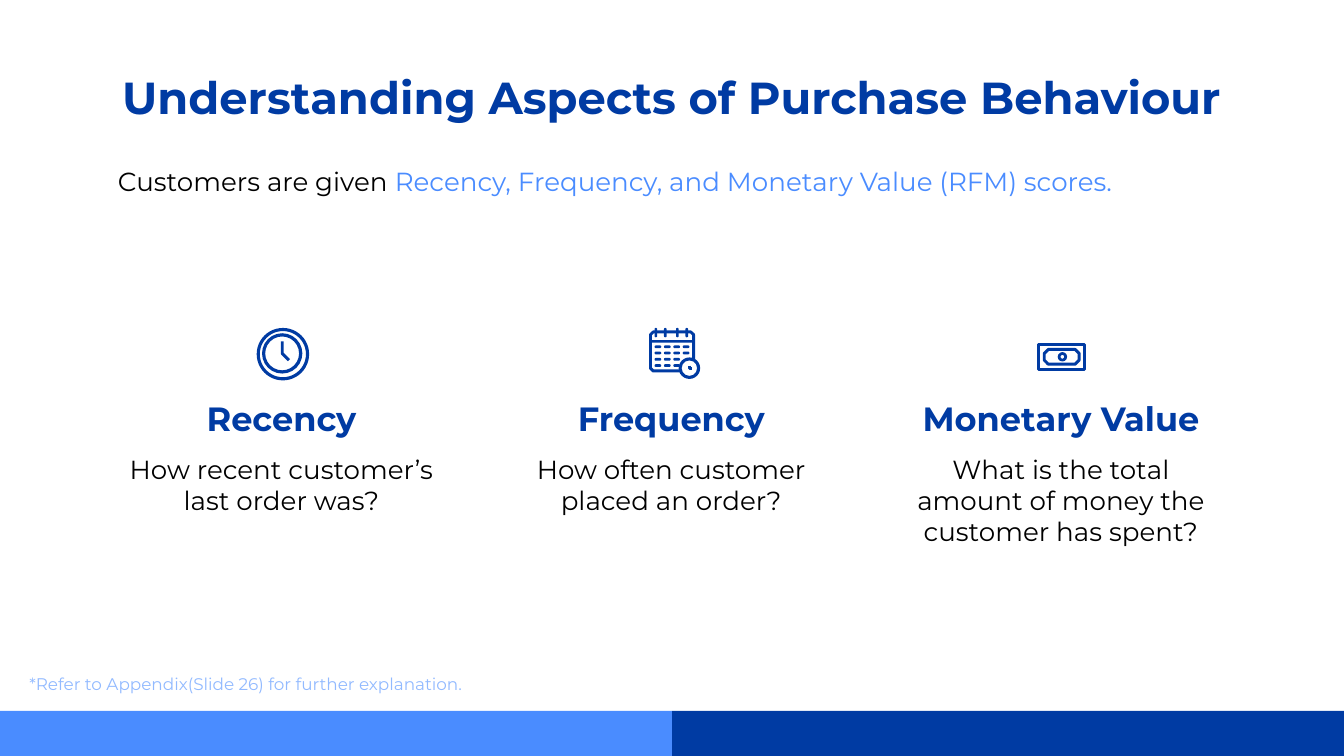
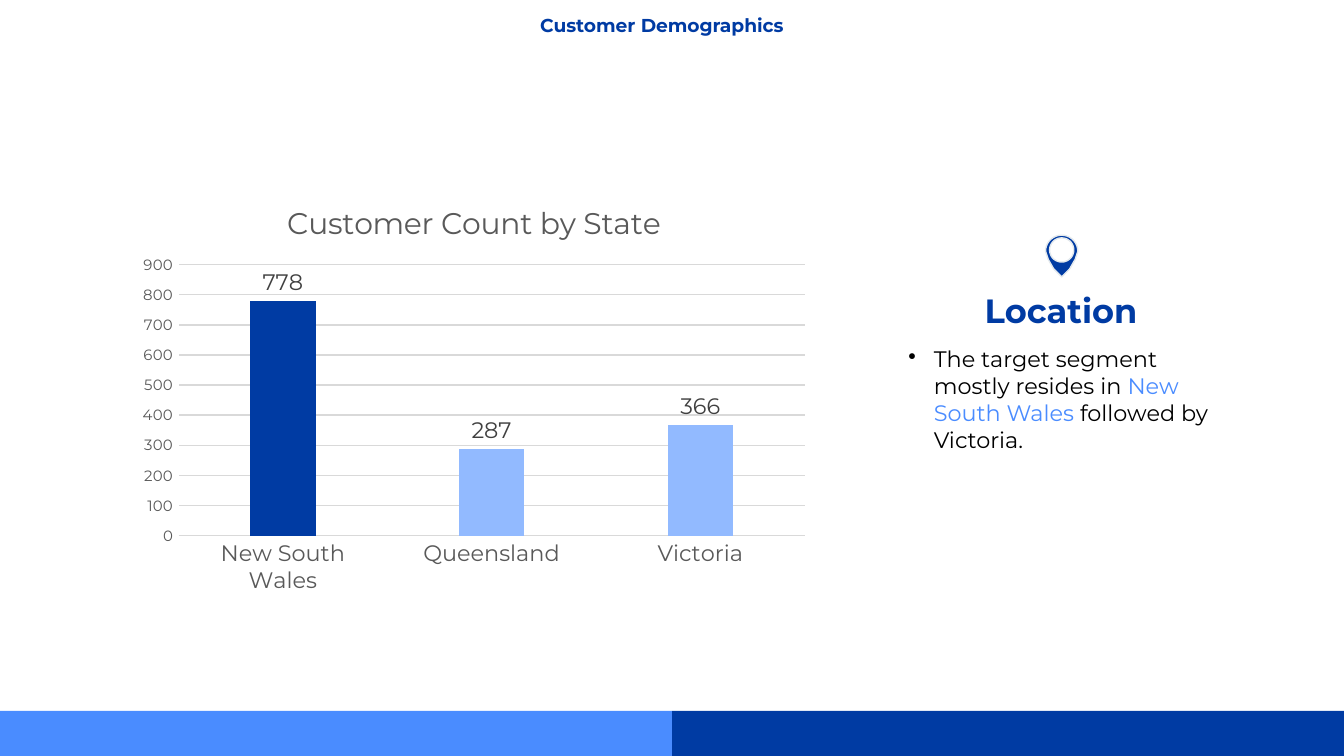
"""Build two slides on purchase behaviour and customer demographics."""
import math

from pptx import Presentation
from pptx.chart.data import CategoryChartData
from pptx.dml.color import RGBColor
from pptx.enum.chart import XL_CHART_TYPE, XL_LABEL_POSITION, XL_TICK_MARK
from pptx.enum.shapes import MSO_SHAPE
from pptx.enum.text import PP_ALIGN
from pptx.oxml import parse_xml
from pptx.oxml.ns import nsdecls, qn
from pptx.util import Inches, Pt

CENTER, LEFT = PP_ALIGN.CENTER, PP_ALIGN.LEFT
RECTANGLE, ROUNDED = MSO_SHAPE.RECTANGLE, MSO_SHAPE.ROUNDED_RECTANGLE
DONUT = MSO_SHAPE.DONUT
COLUMNS = XL_CHART_TYPE.COLUMN_CLUSTERED
OUTSIDE_END = XL_LABEL_POSITION.OUTSIDE_END
NO_TICK = XL_TICK_MARK.NONE
FONT = "Montserrat"
HEX = {
    "navy": "003BA3",
    "blue": "4A8CFF",
    "pale": "92BAFF",
    "black": "000000",
    "axis": "595959",
    "label": "404040",
    "grid": "D9D9D9",
    "pin_edge": "E3E9ED",
}
COLORS = {name: RGBColor.from_string(value) for name, value in HEX.items()}


def add_text(slide, box, runs, size, bold=False, align=CENTER, inset=0.1, after=0, bullet=False):
    """Add a one-paragraph text box from (text, colour) runs."""
    frame = slide.shapes.add_textbox(*map(Inches, box)).text_frame
    frame.word_wrap = True
    frame.margin_top = frame.margin_bottom = Inches(inset)
    paragraph = frame.paragraphs[0]
    if bullet:
        properties = paragraph._p.get_or_add_pPr()
        properties.set("marL", str(Inches(0.19)))
        properties.set("indent", str(-Inches(0.19)))
        properties.append(parse_xml(
            f'<a:buClr {nsdecls("a")}><a:srgbClr val="{HEX["black"]}"/></a:buClr>'))
        properties.append(parse_xml(f'<a:buChar {nsdecls("a")} char="•"/>'))
    paragraph.alignment = align
    paragraph.space_after = Pt(after)
    paragraph.font.name, paragraph.font.size, paragraph.font.bold = FONT, Pt(size), bold
    for text, color in runs:
        run = paragraph.add_run()
        run.text = text
        run.font.color.rgb = COLORS[color]


def add_outline(slide, contours, closed):
    """Add a freeform made of one or more contours given in inches."""
    contours = [[(Inches(x), Inches(y)) for x, y in points] for points in contours]
    builder = slide.shapes.build_freeform(*contours[0][0], scale=1.0)
    builder.add_line_segments(contours[0][1:], close=closed)
    for points in contours[1:]:
        builder.move_to(*points[0])
        builder.add_line_segments(points[1:], close=closed)
    shape = builder.convert_to_shape()
    shape.shadow.inherit = False
    shape.fill.background()
    shape.line.color.rgb = COLORS["navy"]
    shape.line.width = Pt(1.6)
    return shape


presentation = Presentation()
presentation.slide_width, presentation.slide_height = Inches(10), Inches(10 * 9 / 16)
blank_layout = presentation.slide_layouts[6]

titles = [
    ("Understanding Aspects of Purchase Behaviour", 0.78, 0.42, 24),
    ("Customer Demographics", 0.71, 0.02, 10),
]
for title, left, top, size in titles:
    slide = presentation.slides.add_slide(blank_layout)
    for band_left, color in ((5, "navy"), (0, "blue")):
        band = slide.shapes.add_shape(
            RECTANGLE, Inches(band_left), Inches(5.29), Inches(5), Inches(0.34))
        band.shadow.inherit = False
        band.fill.solid()
        band.fill.fore_color.rgb = COLORS[color]
        band.line.fill.background()
    add_text(slide, (left, top, 8.43, 0.63), [(title, "navy")], size, bold=True)

behaviour_slide, demographics_slide = presentation.slides

aspects = [
    ("Recency", "How recent customer’s last order was?"),
    ("Frequency", "How often customer placed an order?"),
    ("Monetary Value", "What is the total amount of money the customer has spent?"),
]
for column, (heading, question) in enumerate(aspects):
    left = 0.86 + 2.9 * column
    add_text(behaviour_slide, (left, 2.86, 2.47, 0.45), [(heading, "navy")], 18, True, after=16)
    add_text(behaviour_slide, (left, 3.27, 2.47, 0.79), [(question, "black")], 14, after=16)

add_text(behaviour_slide, (0.78, 1.18, 8.43, 0.34),
         [("Customers are given ", "black"),
          ("Recency, Frequency, and Monetary Value (RFM) scores.", "blue")],
         14, align=LEFT, inset=0.05)
add_text(behaviour_slide, (0.12, 4.96, 5.95, 0.25),
         [("*Refer to Appendix(Slide 26) for further explanation.", "pale")],
         9, align=LEFT, inset=0.05)

clock_rings = [(DONUT, 1.91, 2.44, 0.39, 0.39, 0.06), (DONUT, 1.95, 2.48, 0.3, 0.3, 0.08)]
calendar_header = [(RECTANGLE, 4.84, 2.53, 0.32, 0.02, None)]
calendar_hooks = [(ROUNDED, left, 2.44, 0.02, 0.07, 0.5) for left in (4.87, 4.94, 5.03, 5.1)]
calendar_days = [(ROUNDED, 4.87 + 0.07 * day, 2.57 + 0.14 * week / 3, 0.05, 0.02, 0.5)
                 for week, days in enumerate((4, 4, 3, 3)) for day in range(days)]
calendar_clock = [(DONUT, 5.05, 2.66, 0.16, 0.16, 0.14)]
banknote_coin = [(DONUT, 7.87, 2.62, 0.07, 0.07, 0.3)]
icon_parts = (clock_rings + calendar_header + calendar_hooks + calendar_days
              + calendar_clock + banknote_coin)
for kind, left, top, width, height, adjustment in icon_parts:
    part = behaviour_slide.shapes.add_shape(kind, *map(Inches, (left, top, width, height)))
    part.shadow.inherit = False
    part.fill.solid()
    part.fill.fore_color.rgb = COLORS["navy"]
    part.line.fill.background()
    if adjustment:
        part.adjustments[0] = adjustment

clock_hands = [(2.1, 2.54), (2.1, 2.63), (2.15, 2.68)]
calendar_frame = [(5.06, 2.76), (4.86, 2.76), (4.84, 2.74), (4.84, 2.49), (4.86, 2.47),
                  (5.14, 2.47), (5.16, 2.49), (5.16, 2.67)]
calendar_hands = [(5.13, 2.72), (5.13, 2.74), (5.15, 2.74)]
banknote_edge = [(7.73, 2.56), (8.07, 2.56), (8.07, 2.75), (7.73, 2.75)]
banknote_inset = [(7.8, 2.6), (8, 2.6), (8.03, 2.63), (8.03, 2.68),
                  (8, 2.71), (7.8, 2.71), (7.77, 2.68), (7.77, 2.63)]
for points in (clock_hands, calendar_frame, calendar_hands):
    add_outline(behaviour_slide, [points], closed=False)
for points in (banknote_edge, banknote_inset):
    add_outline(behaviour_slide, [points], closed=True)

add_text(demographics_slide, (6.66, 2.06, 2.47, 0.45), [("Location", "navy")], 18, True, after=16)
add_text(demographics_slide, (6.66, 2.47, 2.47, 1.31),
         [("The target segment mostly resides in ", "black"),
          ("New South Wales", "blue"),
          (" followed by Victoria.", "black")],
         12, align=LEFT, after=16, bullet=True)

chart_data = CategoryChartData()
chart_data.categories = ["New South Wales", "Queensland", "Victoria"]
chart_data.add_series("Series 1", (778, 287, 366))
chart = demographics_slide.shapes.add_chart(
    COLUMNS, Inches(0.97), Inches(1.34), Inches(5.12), Inches(3.15), chart_data).chart
chart.has_legend = False
chart.font.name, chart.font.size = FONT, Pt(10)
chart.font.color.rgb = COLORS["black"]

chart.has_title = True
title_paragraph = chart.chart_title.text_frame.paragraphs[0]
title_paragraph.text = "Customer Count by State"

plot = chart.plots[0]
plot.gap_width, plot.overlap, plot.vary_by_categories = 219, -27, False
series = plot.series[0]
for bar, color in ((series, "pale"), (series.points[0], "navy")):
    bar.format.fill.solid()
    bar.format.fill.fore_color.rgb = COLORS[color]
labels = series.data_labels
labels.show_value = True
labels.position = OUTSIDE_END

category_axis, value_axis = chart.category_axis, chart.value_axis
value_axis.minimum_scale, value_axis.maximum_scale, value_axis.major_unit = 0, 900, 100
for axis in (category_axis, value_axis):
    axis.major_tick_mark = axis.minor_tick_mark = NO_TICK
for line in (category_axis.format.line, value_axis.major_gridlines.format.line):
    line.color.rgb = COLORS["grid"]
    line.width = Pt(0.75)
value_axis.format.line.fill.background()

chart_fonts = [
    (title_paragraph.font, 16, "axis"),
    (category_axis.tick_labels.font, 12, "axis"),
    (value_axis.tick_labels.font, 8, "axis"),
    (labels.font, 12, "label"),
]
for font, size, color in chart_fonts:
    font.name, font.size, font.bold = FONT, Pt(size), False
    font.color.rgb = COLORS[color]

plot_area = chart._chartSpace.chart.plotArea
layouts = [
    (plot_area, 0, '<c:layoutTarget val="inner"/>', {"x": 0.07, "y": 0.2, "w": 0.91, "h": 0.64}),
    (chart.chart_title._element, 1, "", {"x": 0.22, "y": 0.04}),
]
for element, index, target, places in layouts:
    old_layout = element.find(qn("c:layout"))
    if old_layout is not None:
        element.remove(old_layout)
    values = "".join(f'<c:{name} val="{value}"/>' for name, value in places.items())
    element.insert(index, parse_xml(
        f'<c:layout {nsdecls("c")}><c:manualLayout>{target}<c:xMode val="edge"/>'
        f'<c:yMode val="edge"/>{values}</c:manualLayout></c:layout>'))

pin_head = [(7.9 + 0.12 * math.cos(math.radians(angle)), 1.87 + 0.12 * math.sin(math.radians(angle)))
            for angle in range(180, 361, 10)]
pin_tail = [(8, 1.93), (7.96, 2), (7.9, 2.06), (7.84, 2), (7.8, 1.93)]
pin_hole = [(7.9 + 0.09 * math.cos(math.radians(angle)), 1.86 - 0.09 * math.sin(math.radians(angle)))
            for angle in range(0, 360, 10)]
pin = add_outline(demographics_slide, [pin_head + pin_tail, pin_hole], closed=True)
pin.fill.solid()
pin.fill.fore_color.rgb = COLORS["navy"]
pin.line.color.rgb = COLORS["pin_edge"]
pin.line.width = Pt(0.75)

presentation.save("out.pptx")
